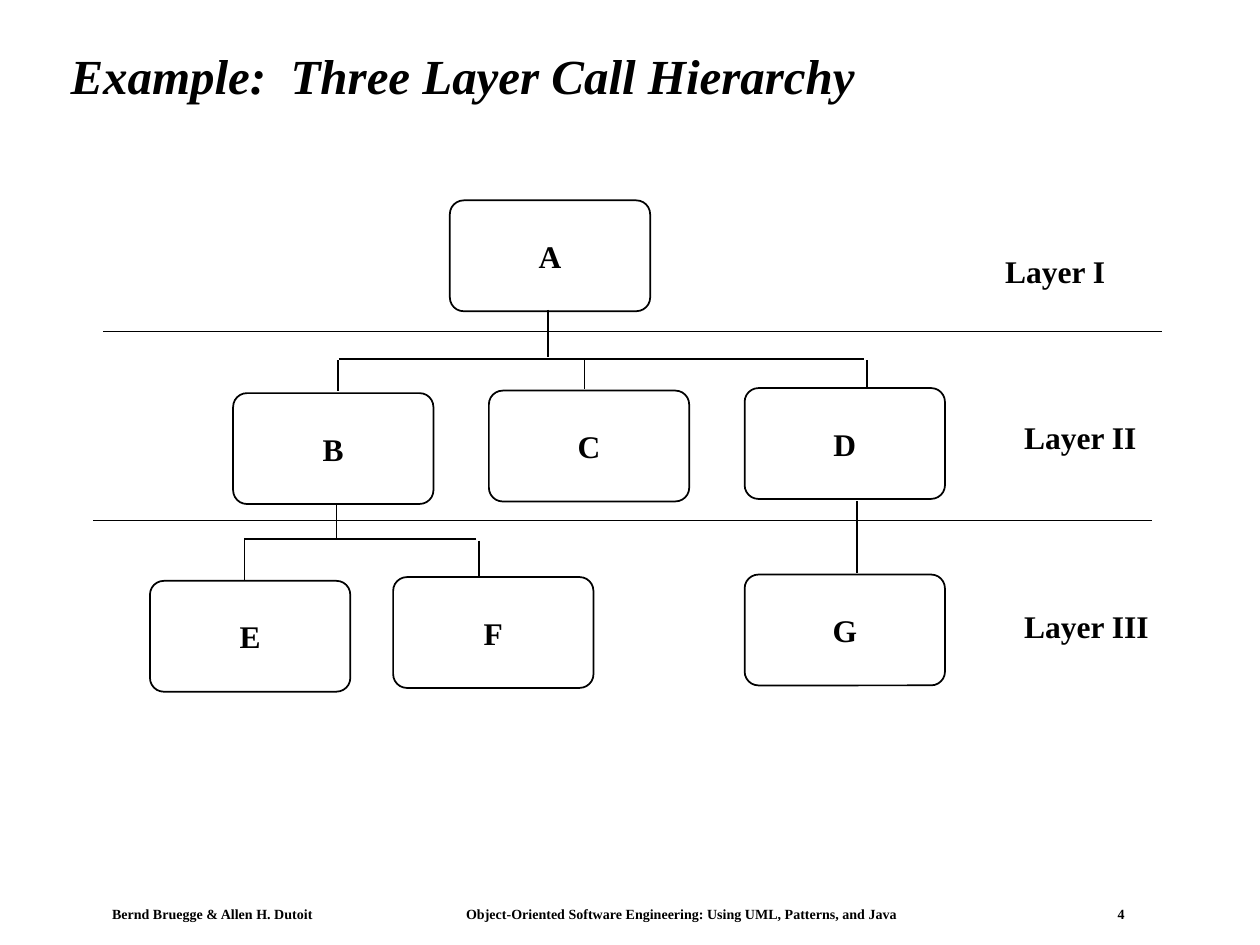
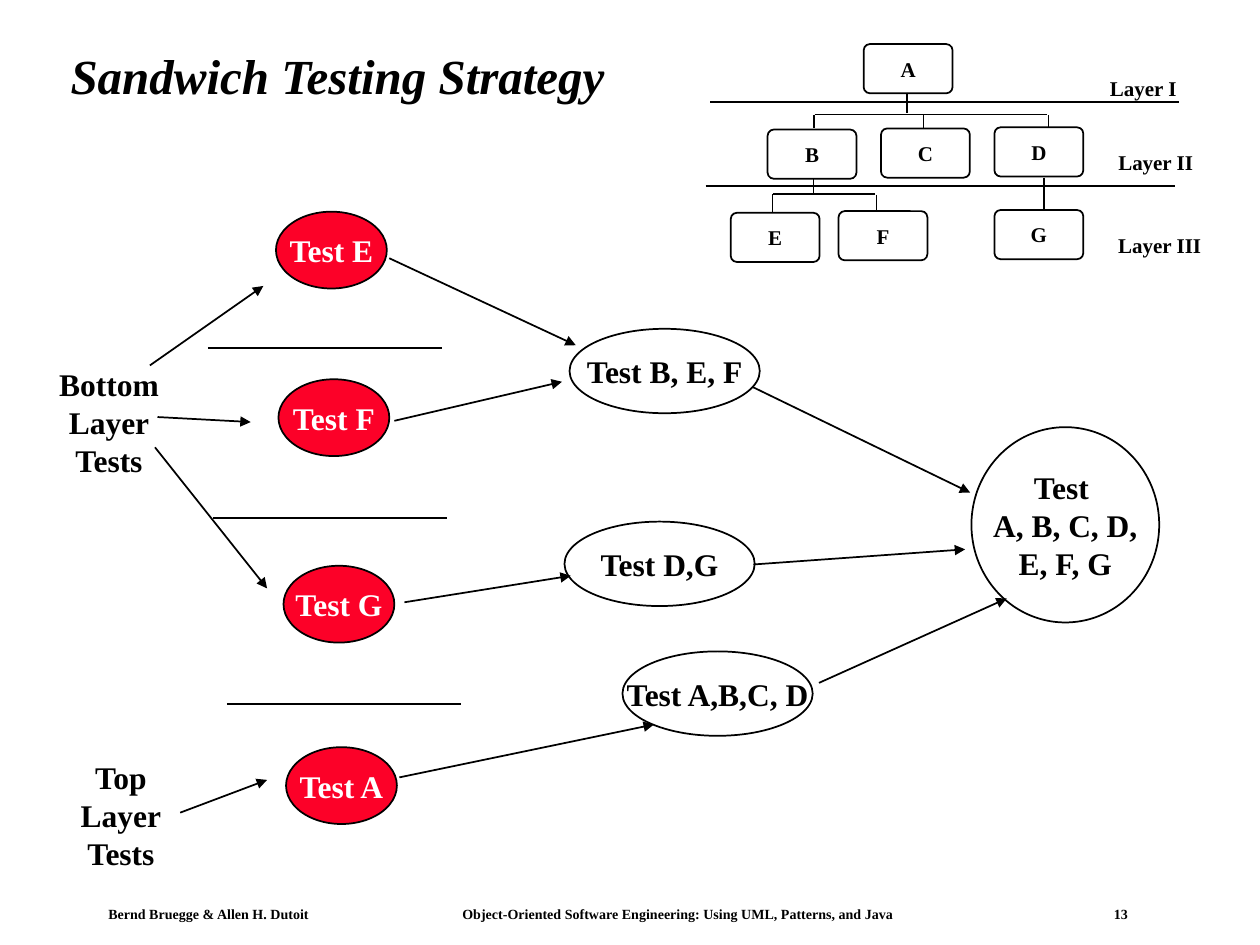
from dataclasses import dataclass

from lxml import etree
from pptx import Presentation
from pptx.dml.color import RGBColor
from pptx.enum.shapes import MSO_CONNECTOR, MSO_SHAPE
from pptx.enum.text import MSO_ANCHOR, MSO_AUTO_SIZE, PP_ALIGN
from pptx.oxml.ns import qn
from pptx.util import Inches, Pt

STRAIGHT = MSO_CONNECTOR.STRAIGHT
ROUNDED = MSO_SHAPE.ROUNDED_RECTANGLE
OVAL = MSO_SHAPE.OVAL
MIDDLE, TOP = MSO_ANCHOR.MIDDLE, MSO_ANCHOR.TOP
LEFT, CENTER = PP_ALIGN.LEFT, PP_ALIGN.CENTER
NO_AUTOFIT = MSO_AUTO_SIZE.NONE
TITLE_ONLY = 5


@dataclass(frozen=True)
class Theme:
    font: str = "Times New Roman"
    ink: RGBColor = RGBColor(0x00, 0x00, 0x00)
    paper: RGBColor = RGBColor(0xFF, 0xFF, 0xFF)
    highlight: RGBColor = RGBColor(0xFC, 0x01, 0x28)
    title_size: int = 28
    body_size: int = 18
    small_size: int = 12
    footer_size: int = 8
    line_width: int = 1


THEME = Theme()

AUTHORS = "Bernd Bruegge & Allen H. Dutoit"
BOOK = "Object-Oriented Software Engineering: Using UML, Patterns, and Java"
FOOTER_TABS = (2.81, 7.98)

# Call hierarchy, measured from the corner of its full-size box
HIERARCHY_WIDTH = 8.48
UNIT_SIZE = (1.59, 0.88)
UNITS = {
    "A": (2.83, 0), "B": (1.11, 1.53), "C": (3.14, 1.51), "D": (5.17, 1.49),
    "G": (5.17, 2.97), "F": (2.38, 2.99), "E": (0.45, 3.02),
}
CALL_LINES = [
    (3.61, 0.87, 3.61, 1.24), (1.95, 1.26, 6.12, 1.26),
    (1.94, 1.27, 1.94, 1.51), (3.9, 1.27, 3.9, 1.5), (6.14, 1.27, 6.14, 1.48),
    (1.93, 2.42, 1.93, 2.68), (3.04, 2.69, 1.2, 2.69),
    (1.2, 2.68, 1.2, 3.01), (3.06, 2.7, 3.06, 2.99), (6.06, 2.39, 6.06, 2.96),
]
LAYER_BOUNDARIES = [(0.08, 1.04, 8.48, 1.04), (0, 2.54, 8.4, 2.54)]
# Label text, position and text width at body size
LAYER_LABELS = [
    ("Layer I", 7.24, 0.29, 0.8),
    ("Layer II", 7.39, 1.61, 0.89),
    ("Layer III", 7.39, 3.11, 0.99),
]

# Sandwich test flow, measured from the corner of its box
SINGLE_TEST_SIZE = (0.88, 0.61)
SINGLE_TESTS = {
    "Test E": (1.82, 0), "Test F": (1.84, 1.33),
    "Test G": (1.88, 2.81), "Test A": (1.9, 4.25),
}
GROUP_TEST_SIZE = (1.51, 0.67)
GROUP_TESTS = {
    "Test B, E, F": (4.15, 0.93), "Test D,G": (4.11, 2.46),
    "Test A,B,C, D": (4.57, 3.49),
}
FULL_TEST_BOX = (7.34, 1.71, 1.49, 1.55)
FULL_TEST = ("Test ", "A, B, C, D,", "E, F, G")
SEPARATOR_WIDTH = 1.86
SEPARATORS = [(1.28, 1.08), (1.32, 2.43), (1.43, 3.91)]
TEST_LABELS = [
    (("Bottom", "Layer", "Tests"), (0, 1.17, 0.99, 1)),
    (("Top", "Layer", "Tests"), (0.17, 4.29, 0.84, 1)),
]
ARROWS = [
    # From the labels to the single tests
    (0.82, 1.22, 1.72, 0.59), (0.88, 1.63, 1.62, 1.67),
    (0.86, 1.87, 1.75, 2.99), (1.06, 4.77, 1.75, 4.51),
    # From the single tests to the group tests
    (2.72, 0.37, 4.2, 1.06), (2.76, 1.66, 4.09, 1.35),
    (2.84, 3.1, 4.16, 2.89), (2.8, 4.49, 4.82, 4.07),
    # From the group tests to the full test
    (5.6, 1.39, 7.33, 2.23), (5.61, 2.8, 7.29, 2.68), (6.13, 3.74, 7.62, 3.07),
]


def write(text_frame, lines, size, color=THEME.ink, align=CENTER,
          anchor=MIDDLE, italic=False):
    text_frame.auto_size = NO_AUTOFIT
    text_frame.vertical_anchor = anchor
    for index, line in enumerate(lines):
        paragraph = text_frame.paragraphs[0] if index == 0 else text_frame.add_paragraph()
        paragraph.alignment = align
        run = paragraph.add_run()
        run.text = line
        font = run.font
        font.name, font.size = THEME.font, Pt(size)
        font.bold, font.italic = True, italic
        font.color.rgb = color


def add_node(slide, kind, box, lines, size=THEME.body_size, fill=None, color=THEME.ink):
    shape = slide.shapes.add_shape(kind, *map(Inches, box))
    shape.shadow.inherit = False
    if fill is None:
        shape.fill.background()
    else:
        shape.fill.solid()
        shape.fill.fore_color.rgb = fill
    shape.line.color.rgb = THEME.ink
    shape.line.width = Pt(THEME.line_width)
    shape.text_frame.word_wrap = False
    write(shape.text_frame, lines, size, color)
    return shape


def add_label(slide, box, lines, size=THEME.body_size, align=LEFT):
    text_box = slide.shapes.add_textbox(*map(Inches, box))
    text_box.text_frame.word_wrap = False
    write(text_box.text_frame, lines, size, align=align, anchor=TOP)


def add_line(slide, ends, arrow=False):
    connector = slide.shapes.add_connector(STRAIGHT, *map(Inches, ends))
    connector.line.color.rgb = THEME.ink
    connector.line.width = Pt(THEME.line_width)
    if arrow:
        line = connector.line._get_or_add_ln()
        etree.SubElement(line, qn("a:tailEnd"), type="triangle")
    etree.SubElement(connector._element.spPr, qn("a:effectLst"))


def add_footer(slide, box, number):
    text_box = slide.shapes.add_textbox(*map(Inches, box))
    frame = text_box.text_frame
    frame.word_wrap = True
    frame.margin_left = frame.margin_right = Inches(0.08)
    frame.margin_top = frame.margin_bottom = Inches(0.04)
    write(frame, ["\t".join((AUTHORS, BOOK, str(number)))],
          THEME.footer_size, align=LEFT, anchor=TOP)
    properties = frame.paragraphs[0]._p.get_or_add_pPr()
    tabs = etree.SubElement(properties, qn("a:tabLst"))
    for position in FOOTER_TABS:
        etree.SubElement(tabs, qn("a:tab"), pos=str(Inches(position)), algn="l")


def add_titled_slide(presentation, title_text, number):
    slide = presentation.slides.add_slide(presentation.slide_layouts[TITLE_ONLY])
    slide.background.fill.solid()
    slide.background.fill.fore_color.rgb = THEME.paper
    title = slide.shapes.title
    title.left, title.top = Inches(0.46), Inches(0.24)
    title.width, title.height = Inches(8.92), Inches(0.77)
    write(title.text_frame, [title_text], THEME.title_size, align=LEFT, italic=True)
    title.text_frame.paragraphs[0].line_spacing = 0.9
    # A one-digit number makes the centred footer start further right
    footer_left = 0.81 if number < 10 else 0.78
    add_footer(slide, (footer_left, 7.15, 8.4, 0.21), number)
    return slide


def add_hierarchy(slide, left, top, width, size):
    scale = width / HIERARCHY_WIDTH

    def place(x, y):
        return left + x * scale, top + y * scale

    # Units
    unit_size = tuple(length * scale for length in UNIT_SIZE)
    for name, corner in UNITS.items():
        unit = add_node(slide, ROUNDED, place(*corner) + unit_size, [name], size)
        unit.adjustments[0] = 0.125

    # Calls and layer boundaries
    for x1, y1, x2, y2 in CALL_LINES + LAYER_BOUNDARIES:
        add_line(slide, place(x1, y1) + place(x2, y2))

    # Layer labels, allowing for the fixed text margins
    text_scale = size / THEME.body_size
    for text, x, y, text_width in LAYER_LABELS:
        label_x, label_y = place(x, y)
        box = (label_x - 0.1, label_y + 0.07, text_width * text_scale + 0.2, 0.4 * text_scale)
        add_label(slide, box, [text], size)


def add_test_flow(slide, left, top):
    def place(x, y):
        return left + x, top + y

    # Tests
    for text, corner in SINGLE_TESTS.items():
        add_node(slide, OVAL, place(*corner) + SINGLE_TEST_SIZE, [text],
                 fill=THEME.highlight, color=THEME.paper)
    for text, corner in GROUP_TESTS.items():
        add_node(slide, OVAL, place(*corner) + GROUP_TEST_SIZE, [text])
    add_node(slide, OVAL, place(*FULL_TEST_BOX[:2]) + FULL_TEST_BOX[2:], FULL_TEST)

    # Labels
    for lines, box in TEST_LABELS:
        add_label(slide, place(*box[:2]) + box[2:], lines, align=CENTER)

    # Separators and arrows
    for x, y in SEPARATORS:
        add_line(slide, place(x, y) + place(x + SEPARATOR_WIDTH, y))
    for x1, y1, x2, y2 in ARROWS:
        add_line(slide, place(x1, y1) + place(x2, y2), arrow=True)


def build_hierarchy_slide(presentation):
    slide = add_titled_slide(presentation, "Example:  Three Layer Call Hierarchy", 4)
    add_hierarchy(slide, 0.74, 1.59, HIERARCHY_WIDTH, THEME.body_size)


def build_sandwich_slide(presentation):
    slide = add_titled_slide(presentation, "Sandwich Testing Strategy", 13)
    add_hierarchy(slide, 5.6, 0.35, 3.76, THEME.small_size)
    add_test_flow(slide, 0.37, 1.68)


def main():
    presentation = Presentation()
    presentation.slide_width, presentation.slide_height = Inches(10), Inches(7.5)
    build_hierarchy_slide(presentation)
    build_sandwich_slide(presentation)
    presentation.save("out.pptx")


if __name__ == "__main__":
    main()
